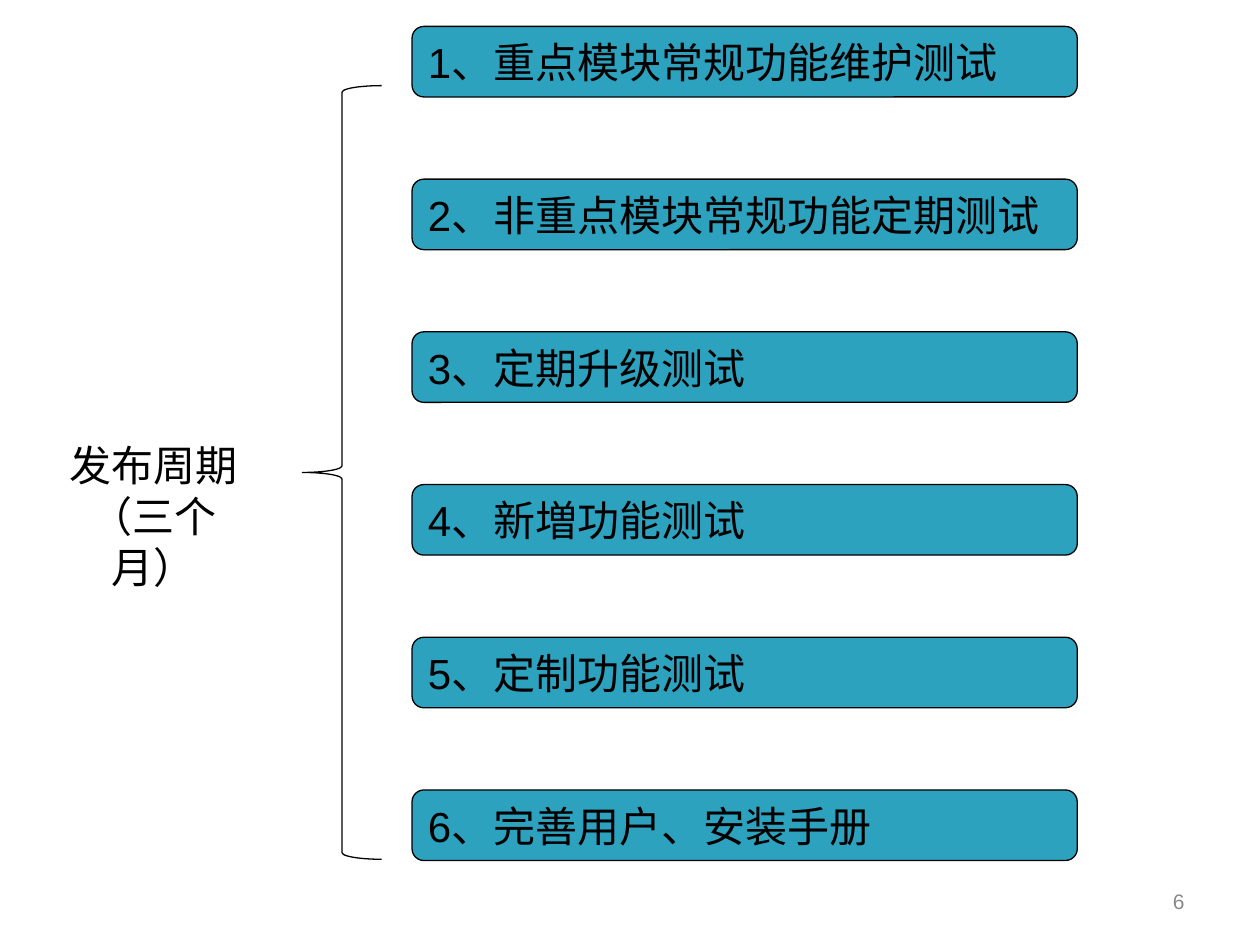
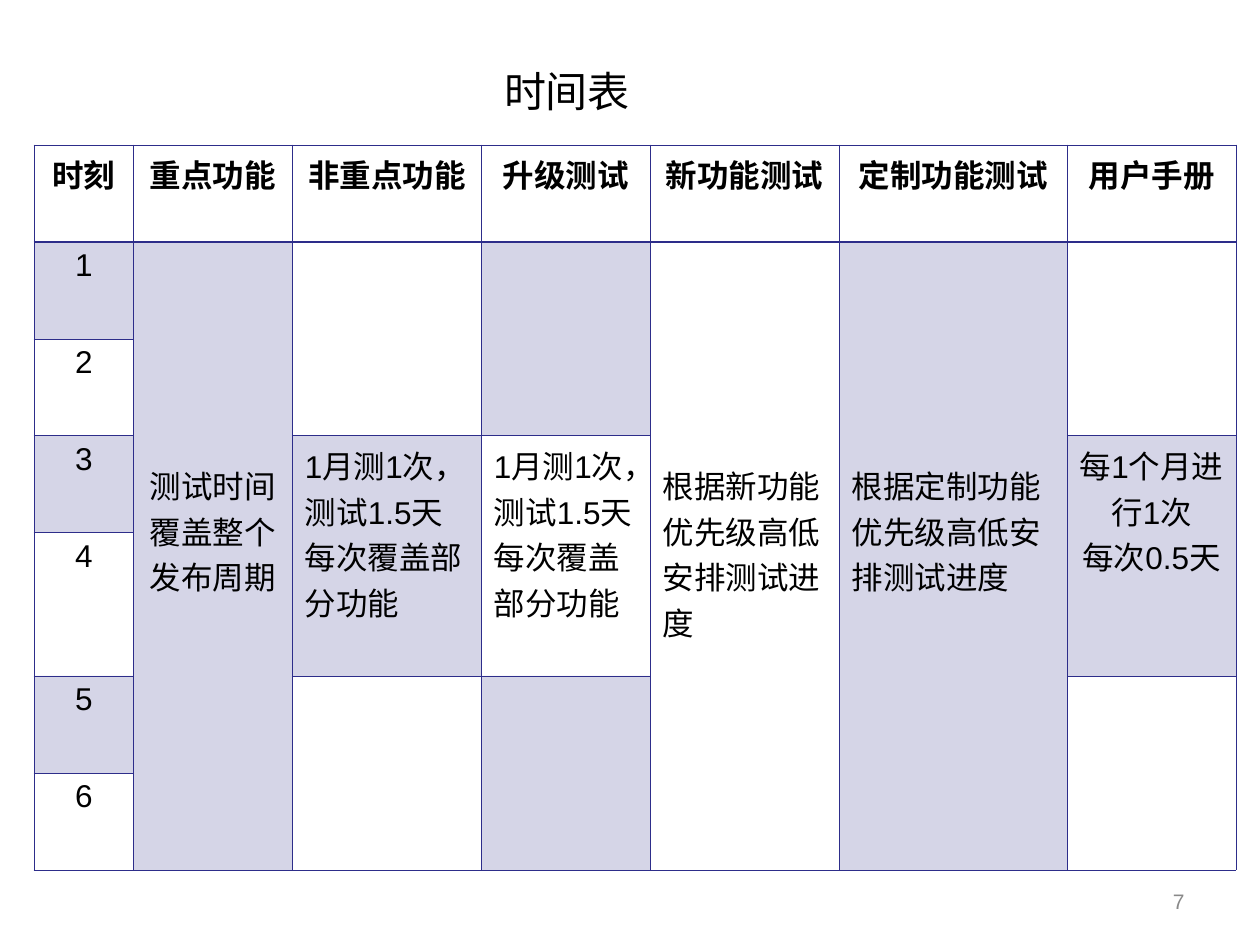
from dataclasses import dataclass

from lxml import etree
from pptx import Presentation
from pptx.dml.color import RGBColor
from pptx.enum.shapes import MSO_SHAPE
from pptx.enum.text import MSO_ANCHOR, PP_ALIGN
from pptx.oxml.ns import qn
from pptx.util import Inches, Pt

LEFT, CENTER, RIGHT = PP_ALIGN.LEFT, PP_ALIGN.CENTER, PP_ALIGN.RIGHT
TOP, MIDDLE = MSO_ANCHOR.TOP, MSO_ANCHOR.MIDDLE
ROUNDED, BRACE = MSO_SHAPE.ROUNDED_RECTANGLE, MSO_SHAPE.LEFT_BRACE


@dataclass(frozen=True)
class Theme:
    ink: str = "000000"
    box: str = "2DA2BF"
    grid: str = "2D2D8A"
    muted: str = "898989"
    tint: int = 20  # opacity of shaded cells, percent
    body_font: str = "Arial"
    title_font: str = "Calibri"
    large: int = 24
    table: int = 18
    small: int = 12
    large_line: int = 29  # line pitch in points
    table_line: int = 26
    outline: float = 0.75
    grid_line: float = 0.45
    header_line: float = 0.96


THEME = Theme()


def write(tf, text, size=THEME.large, color=THEME.ink, font=THEME.body_font,
          bold=False, align=LEFT, anchor=TOP, pitch=None, wrap=True):
    """Fill a text frame, one paragraph for each line of text."""
    tf.word_wrap = wrap
    tf.vertical_anchor = anchor
    for i, line in enumerate(text.split("\n")):
        p = tf.paragraphs[0] if i == 0 else tf.add_paragraph()
        p.alignment = align
        if pitch:
            p.line_spacing = Pt(pitch)
        r = p.add_run()
        r.text = line
        r.font.size = Pt(size)
        r.font.name = font
        r.font.bold = bold
        r.font.color.rgb = RGBColor.from_string(color)


class Deck:
    def __init__(self, theme):
        self.theme = theme
        self.prs = Presentation()
        self.prs.slide_width, self.prs.slide_height = Inches(10), Inches(7.5)
        self.s = None

    def slide(self, number, title=None):
        layout = self.prs.slide_layouts[5 if title else 6]
        self.s = self.prs.slides.add_slide(layout)
        if title:
            sp = self.s.shapes.title
            sp.left, sp.top, sp.width, sp.height = map(Inches, (0, 0.47, 9, 0.5))
            write(sp.text_frame, title, font=self.theme.title_font,
                  align=CENTER, anchor=MIDDLE, pitch=self.theme.large_line)
        self.text(number, 7.17, 6.95, 2.33, 0.4, size=self.theme.small,
                  color=self.theme.muted, align=RIGHT, anchor=MIDDLE)

    def text(self, text, x, y, w, h, **fmt):
        sp = self.s.shapes.add_textbox(*map(Inches, (x, y, w, h)))
        write(sp.text_frame, text, **fmt)

    def shape(self, kind, x, y, w, h, fill=None):
        sp = self.s.shapes.add_shape(kind, *map(Inches, (x, y, w, h)))
        sp.shadow.inherit = False
        sp.line.color.rgb = RGBColor.from_string(self.theme.ink)
        sp.line.width = Pt(self.theme.outline)
        if fill:
            sp.fill.solid()
            sp.fill.fore_color.rgb = RGBColor.from_string(fill)
        else:
            sp.fill.background()
        return sp

    def box(self, text, x, y, w, h):
        sp = self.shape(ROUNDED, x, y, w, h, self.theme.box)
        write(sp.text_frame, text, anchor=MIDDLE, pitch=self.theme.large_line)

    def table(self, x, y, cols, rows):
        frame = self.s.shapes.add_table(
            len(rows), len(cols), *map(Inches, (x, y, sum(cols), sum(rows))))
        tbl = frame.table
        tbl.first_row = tbl.horz_banding = False
        for col, width in zip(tbl.columns, cols):
            col.width = Inches(width)
        for i, (row, height) in enumerate(zip(tbl.rows, rows)):
            row.height = Inches(height)
            for cell in row.cells:
                self.borders(cell, i)
                cell.fill.background()
        return tbl

    def borders(self, cell, row):
        """Thin grid, with a heavier rule under the header row."""
        tc_pr = cell._tc.get_or_add_tcPr()
        for side in "LRTB":
            heavy = (row, side) in ((0, "B"), (1, "T"))
            width = self.theme.header_line if heavy else self.theme.grid_line
            ln = etree.SubElement(tc_pr, qn(f"a:ln{side}"), w=str(Pt(width)))
            fill = etree.SubElement(ln, qn("a:solidFill"))
            etree.SubElement(fill, qn("a:srgbClr"), val=self.theme.grid)

    def cell(self, tbl, row, col, text="", span=1, shaded=False, top=0.05, **fmt):
        cell = tbl.cell(row, col)
        if span > 1:
            cell.merge(tbl.cell(row + span - 1, col))
        if shaded:
            cell.fill.solid()
            cell.fill.fore_color.rgb = RGBColor.from_string(self.theme.grid)
            clr = cell._tc.tcPr.find(qn("a:solidFill")).find(qn("a:srgbClr"))
            etree.SubElement(clr, qn("a:alpha"), val=str(self.theme.tint * 1000))
        cell.margin_top = Inches(top)
        if text:
            write(cell.text_frame, text, size=self.theme.table, **fmt)


def release_cycle(deck):
    deck.slide("6")

    # Test tasks
    tasks = ["重点模块常规功能维护测试", "非重点模块常规功能定期测试", "定期升级测试",
             "新増功能测试", "定制功能测试", "完善用户、安装手册"]
    for i, task in enumerate(tasks):
        deck.box(f"{i + 1}、{task}", 3.27, 0.21 + i * 1.212, 5.28, 0.56)

    # Brace and its label
    deck.shape(BRACE, 2.4, 0.68, 0.63, 6.14)
    deck.text("发布周期\n（三个月）", 0.29, 3.44, 1.86, 0.9, align=CENTER,
              pitch=THEME.large_line, wrap=False)


def timetable(deck):
    deck.slide("7", "时间表")
    row_heights = [0.77] * 4 + [1.09] + [0.77] * 2
    tbl = deck.table(0.27, 1.15, [0.79, 1.26, 1.5, 1.34, 1.5, 1.81, 1.34],
                     row_heights)
    pitch = THEME.table_line

    # Header row and time column
    headers = ["时刻", "重点功能", "非重点功能", "升级测试", "新功能测试",
               "定制功能测试", "用户手册"]
    for col, header in enumerate(headers):
        deck.cell(tbl, 0, col, header, bold=True, align=CENTER, pitch=pitch)
    for row in range(1, len(row_heights)):
        deck.cell(tbl, row, 0, str(row), shaded=row % 2 == 1, align=CENTER)

    # Work that runs through the whole cycle
    for col, text, shaded, align in [
            (1, "测试时间覆盖整个发布周期", True, CENTER),
            (4, "根据新功能优先级高低安排测试进度", False, LEFT),
            (5, "根据定制功能优先级高低安排测试进度", True, LEFT)]:
        deck.cell(tbl, 1, col, text, span=6, shaded=shaded, top=1.75,
                  align=align, pitch=pitch)

    # Monthly work in the middle, with free time before and after
    for col, text, shaded, align in [
            (2, "1月测1次，测试1.5天\n每次覆盖部分功能", True, LEFT),
            (3, "1月测1次，测试1.5天每次覆盖部分功能", False, LEFT),
            (6, "每1个月进行1次\n每次0.5天", True, CENTER)]:
        deck.cell(tbl, 3, col, text, span=2, shaded=shaded, align=align, pitch=pitch)
        for row in (1, 5):
            deck.cell(tbl, row, col, span=2, shaded=col == 3)


def main():
    deck = Deck(THEME)
    release_cycle(deck)
    timetable(deck)
    deck.prs.save("out.pptx")


if __name__ == "__main__":
    main()
